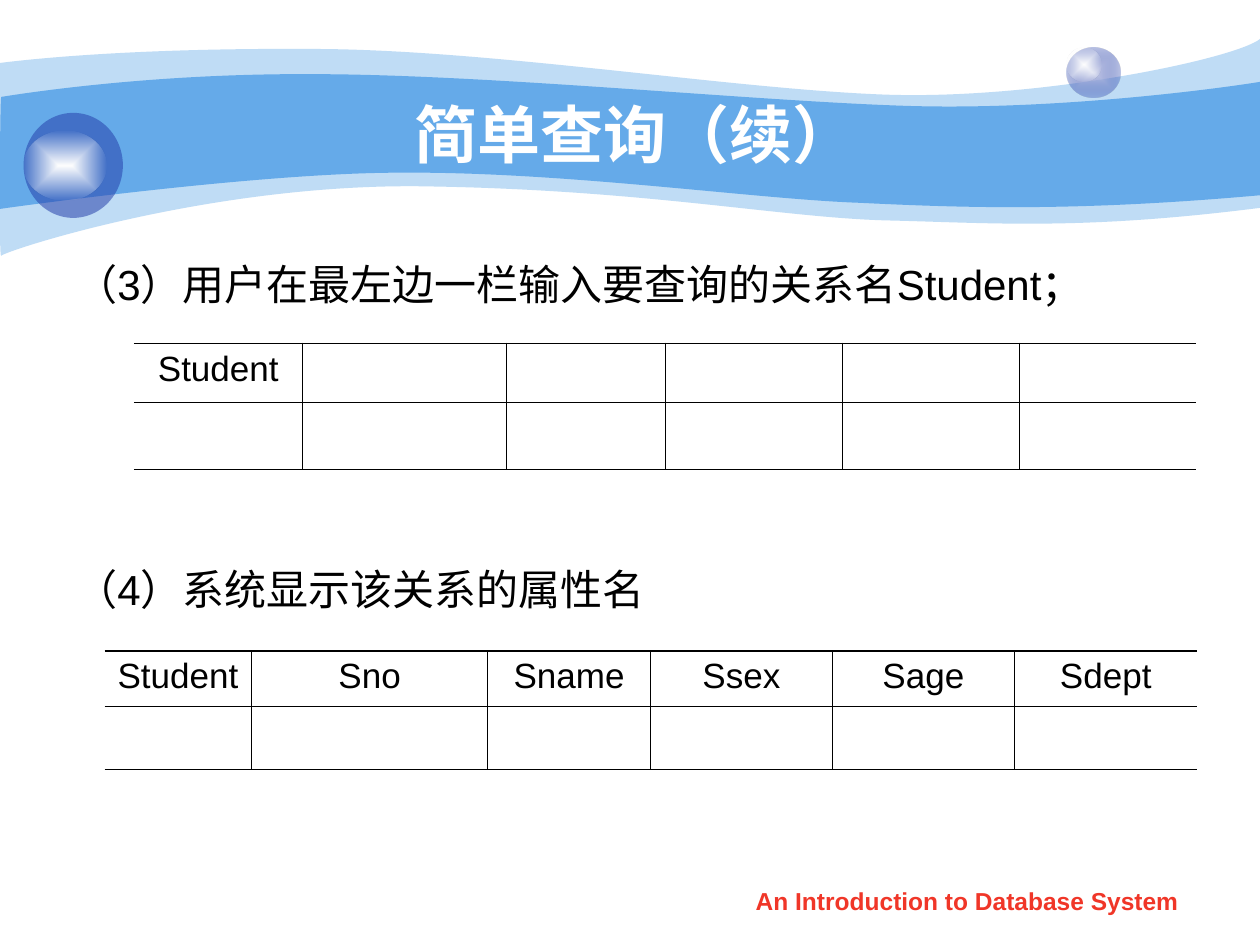
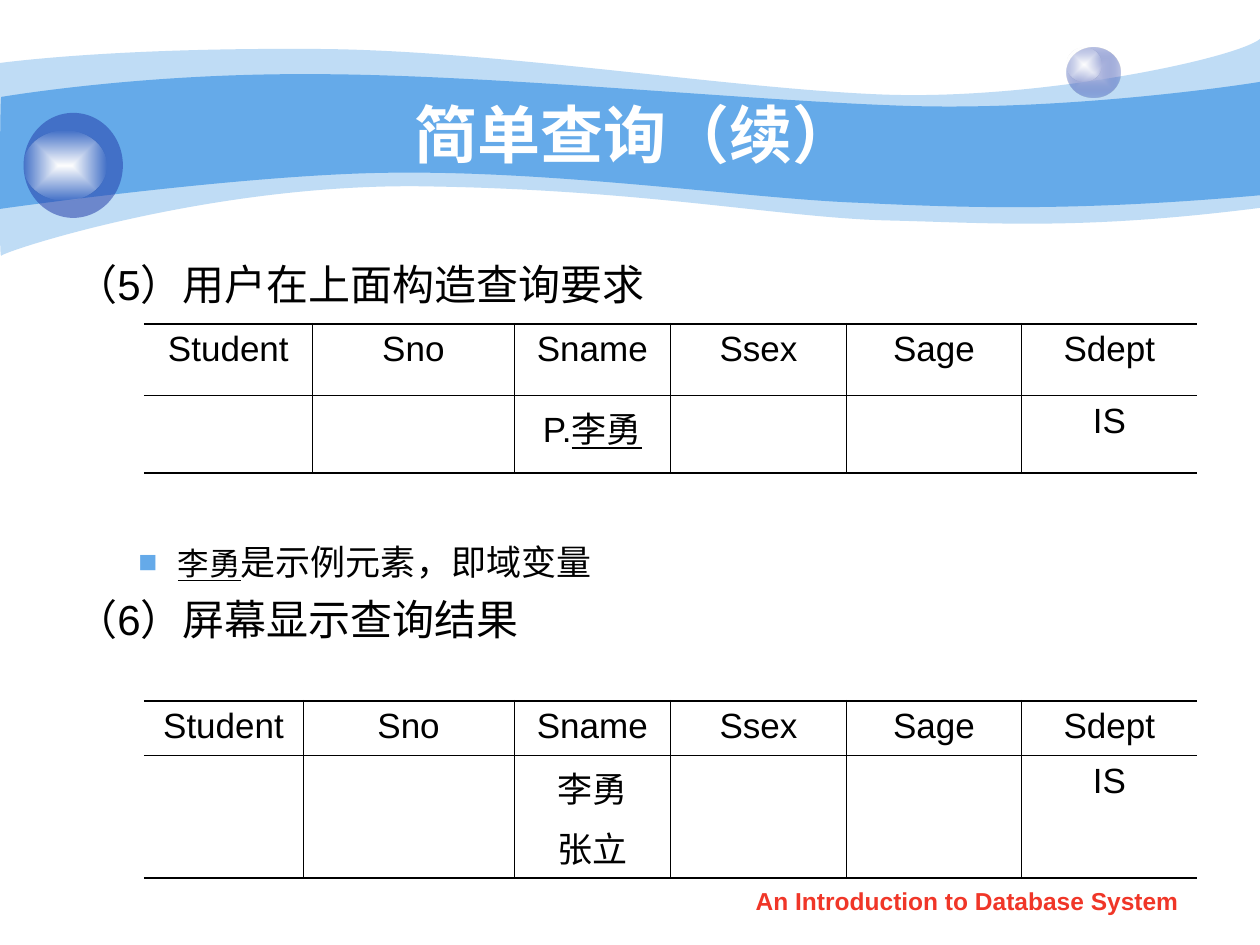
from lxml.etree import SubElement
from pptx import Presentation
from pptx.dml.color import RGBColor
from pptx.enum.shapes import MSO_SHAPE
from pptx.enum.text import MSO_ANCHOR, PP_ALIGN
from pptx.oxml import parse_xml
from pptx.oxml.ns import nsdecls, qn
from pptx.util import Pt

# ---- Content: underscores enclose underlined words ----
TITLE = "简单查询（续）"
FOOTER = "An Introduction to Database System"
HEADER = ["Student", "Sno", "Sname", "Ssex", "Sage", "Sdept"]
EMPTY = [""] * 6

# Body lines: kind, space before, text
SLIDES = [
    {
        "body": [("step", 0, "（3）用户在最左边一栏输入要查询的关系名Student；"),
                 ("step", 145.5, "（4）系统显示该关系的属性名")],
        "tables": [
            {"left": 76.5, "top": 196.25, "columns": [96.5, 116.5, 91, 101, 101, 101],
             "heights": [33.5, 38.5], "rows": [["Student"] + [""] * 5, EMPTY]},
            {"left": 59.75, "top": 372, "columns": [84, 135, 93, 104, 104, 104.5],
             "heights": [31.75, 36], "rows": [HEADER, EMPTY]},
        ],
    },
    {
        "body": [("step", 0, "（5）用户在上面构造查询要求"),
                 ("bullet", 132.75, "_李勇_是示例元素，即域变量"),
                 ("step", 6, "（6）屏幕显示查询结果")],
        "tables": [
            {"left": 82.25, "top": 185, "columns": [96.5, 115, 89.5, 100.5, 100, 100.5],
             "heights": [41, 44.25],
             "rows": [HEADER, ["", "", "P._李勇_", "", "", "IS"]]},
            {"left": 82.25, "top": 400.4, "columns": [91, 120.5, 89.5, 100.5, 100, 100.5],
             "heights": [31.4, 70],
             "rows": [HEADER, ["", "", "李勇\n张立", "", "", "IS"]]},
        ],
    },
]

# ---- Shared style ----
FONT = "Arial"
BLACK, WHITE, BLUE, NAVY, RED = "000000", "FFFFFF", "65AAE9", "233DA9", "F03628"
THIN, THICK = 0.45, 1.08

# Each outline: start point, then line ends (one point) or curves (three points)
PALE_BAND = [
    [(0, 36)],
    [(17.3, 33.8), (77, 27.4), (177.8, 28)],
    [(277.9, 28), (414, 50.4), (503.3, 54)],
    [(591.8, 57.6), (705.6, 33.8), (720, 22.3)],
    [(720, 118.8)],
    [(617.8, 131.8), (566.6, 127.4), (507.6, 126)],
    [(447.8, 124.6), (370.8, 108.7), (247, 106.6)],
    [(123.8, 103.7), (2.9, 143.3), (0.7, 146.2)],
    [(-0.7, 149.8), (0, 54), (0, 36)],
]
BLUE_BAND = [
    [(0.7, 55.4)],
    [(1.4, 55.4), (79.2, 41.8), (178.6, 42.4)],
    [(277.9, 42.4), (428.4, 57.6), (517, 60.5)],
    [(605.5, 63.4), (702.7, 49.7), (720, 46.8)],
    [(720, 111.6)],
    [(614.2, 121), (550.8, 118.8), (491, 115.9)],
    [(431.3, 113.8), (321.8, 97.9), (228.2, 98.7)],
    [(146.2, 98.7), (-1.4, 119.5), (-0.7, 119.5)],
    [(0, 119.5), (0, 55.4), (0.7, 55.4)],
]
GLOW = [(WHITE, 100), ("FEFEFE", 0)]
# Spheres: left, top, width, height, gradient stops or one (colour, opacity)
SPHERES = [
    (609.5, 27, 31, 29, [("C6CCE8", 100), (NAVY, 31)]),
    (609.5, 27, 20, 19.5, GLOW),
    (13.5, 64.5, 56.75, 60, [(NAVY, 53)]),
    (13.5, 74.5, 47.5, 40, GLOW),
]


def color(code):
    return RGBColor.from_string(code)


def paint(shape, stops):
    """Fill with one (colour, opacity) or a gradient from the centre outwards."""
    shape.shadow.inherit = False
    shape.line.fill.background()
    shape.fill.solid()
    if len(stops) == 1:
        code, opacity = stops[0]
        shape.fill.fore_color.rgb = color(code)
        if opacity < 100:
            tint = shape._element.spPr.find(".//" + qn("a:srgbClr"))
            SubElement(tint, qn("a:alpha"), val=str(opacity * 1000))
        return
    marks = "".join(
        f'<a:gs pos="{pos}"><a:srgbClr val="{code}"><a:alpha val="{opacity * 1000}"/>'
        f'</a:srgbClr></a:gs>'
        for pos, (code, opacity) in zip((0, 100000), stops))
    gradient = parse_xml(
        f'<a:gradFill {nsdecls("a")}><a:gsLst>{marks}</a:gsLst><a:path path="rect">'
        '<a:fillToRect l="50000" t="50000" r="50000" b="50000"/></a:path></a:gradFill>')
    solid = shape._element.spPr.find(qn("a:solidFill"))
    solid.getparent().replace(solid, gradient)


def add_band(page, outline, opacity):
    """Build the outline from its points, then join each three into a curve."""
    start, *rest = [(Pt(x), Pt(y)) for part in outline for x, y in part]
    builder = page.shapes.build_freeform(*start)
    builder.add_line_segments(rest, close=True)
    band = builder.convert_to_shape()
    lines = iter(list(band._element.spPr.iter(qn("a:lnTo"))))
    for part in outline[1:]:
        pieces = [next(lines) for _ in part]
        if len(pieces) == 3:
            curve = parse_xml(f'<a:cubicBezTo {nsdecls("a")}/>')
            pieces[0].addprevious(curve)
            for piece in pieces:
                curve.append(piece[0])
                piece.getparent().remove(piece)
    paint(band, [(BLUE, opacity)])


def write(para, text, size, code=BLACK, bold=False, align=PP_ALIGN.LEFT, marked_size=None):
    para.alignment = align
    font = para.font
    font.name, font.size, font.bold = FONT, Pt(size), bold
    font.color.rgb = color(code)
    for index, piece in enumerate(text.split("_")):
        if not piece:
            continue
        span = para.add_run()
        span.text = piece
        if index % 2:
            span.font.underline = True
            if marked_size:
                span.font.size = Pt(marked_size)


def add_box(page, left, top, width, height, anchor=MSO_ANCHOR.TOP):
    box = page.shapes.add_textbox(Pt(left), Pt(top), Pt(width), Pt(height))
    box.text_frame.word_wrap = True
    box.text_frame.vertical_anchor = anchor
    return box.text_frame


def set_bullet(para):
    props = para._p.get_or_add_pPr()
    props.set("marL", str(Pt(58.5)))
    props.set("indent", str(-Pt(22.5)))
    tint = SubElement(props, qn("a:buClr"))
    SubElement(tint, qn("a:srgbClr"), val=BLUE)
    SubElement(props, qn("a:buFont"), typeface=FONT)
    SubElement(props, qn("a:buChar"), char="■")


def add_body(page, lines):
    frame = add_box(page, 36, 144, 650, 354)
    for index, (kind, space, text) in enumerate(lines):
        para = frame.add_paragraph() if index else frame.paragraphs[0]
        if kind == "bullet":
            set_bullet(para)
        if space:
            para.space_before = Pt(space)
        write(para, text, 20 if kind == "bullet" else 24, marked_size=18)


def set_borders(cell, widths):
    props = cell._tc.get_or_add_tcPr()
    for position, (side, width) in enumerate(widths.items()):
        line_fill = (f'<a:solidFill><a:srgbClr val="{BLACK}"/></a:solidFill>'
                     if width else "<a:noFill/>")
        props.insert(position, parse_xml(
            f'<a:{side} {nsdecls("a")} w="{Pt(width)}">{line_fill}</a:{side}>'))


def add_grid(page, left, top, columns, heights, rows):
    frame = page.shapes.add_table(len(rows), len(columns), Pt(left), Pt(top),
                                  Pt(sum(columns)), Pt(sum(heights)))
    table = frame.table
    table.first_row = table.horz_banding = False
    for column, width in zip(table.columns, columns):
        column.width = Pt(width)
    for r, (row, height) in enumerate(zip(rows, heights)):
        table.rows[r].height = Pt(height)
        for c, text in enumerate(row):
            cell = table.cell(r, c)
            cell.fill.background()
            for index, line in enumerate(text.split("\n")):
                cell_text = cell.text_frame
                para = cell_text.add_paragraph() if index else cell_text.paragraphs[0]
                if index:
                    para.space_before = Pt(5)
                write(para, line, 20, align=PP_ALIGN.CENTER)
            set_borders(cell, {
                "lnL": THIN if c else 0,
                "lnR": THIN if c < len(columns) - 1 else 0,
                "lnT": THIN if r else THICK,
                "lnB": THIN if r < len(rows) - 1 else THICK,
            })


def add_background(page):
    add_band(page, PALE_BAND, 41)
    add_band(page, BLUE_BAND, 100)
    for left, top, width, height, stops in SPHERES:
        sphere = page.shapes.add_shape(MSO_SHAPE.OVAL, Pt(left), Pt(top),
                                       Pt(width), Pt(height))
        paint(sphere, stops)


def main():
    deck = Presentation()
    deck.slide_width, deck.slide_height = Pt(720), Pt(540)
    for content in SLIDES:
        page = deck.slides.add_slide(deck.slide_layouts[6])
        add_background(page)
        title = add_box(page, 72, 53.75, 582, 44.5, MSO_ANCHOR.MIDDLE)
        write(title.paragraphs[0], TITLE, 36, WHITE, True, PP_ALIGN.CENTER)
        add_body(page, content["body"])
        for grid in content["tables"]:
            add_grid(page, **grid)
        footer = add_box(page, 411, 502.5, 283.5, 25)
        write(footer.paragraphs[0], FOOTER, 14, RED, True, PP_ALIGN.CENTER)
    deck.save("out.pptx")


if __name__ == "__main__":
    main()
